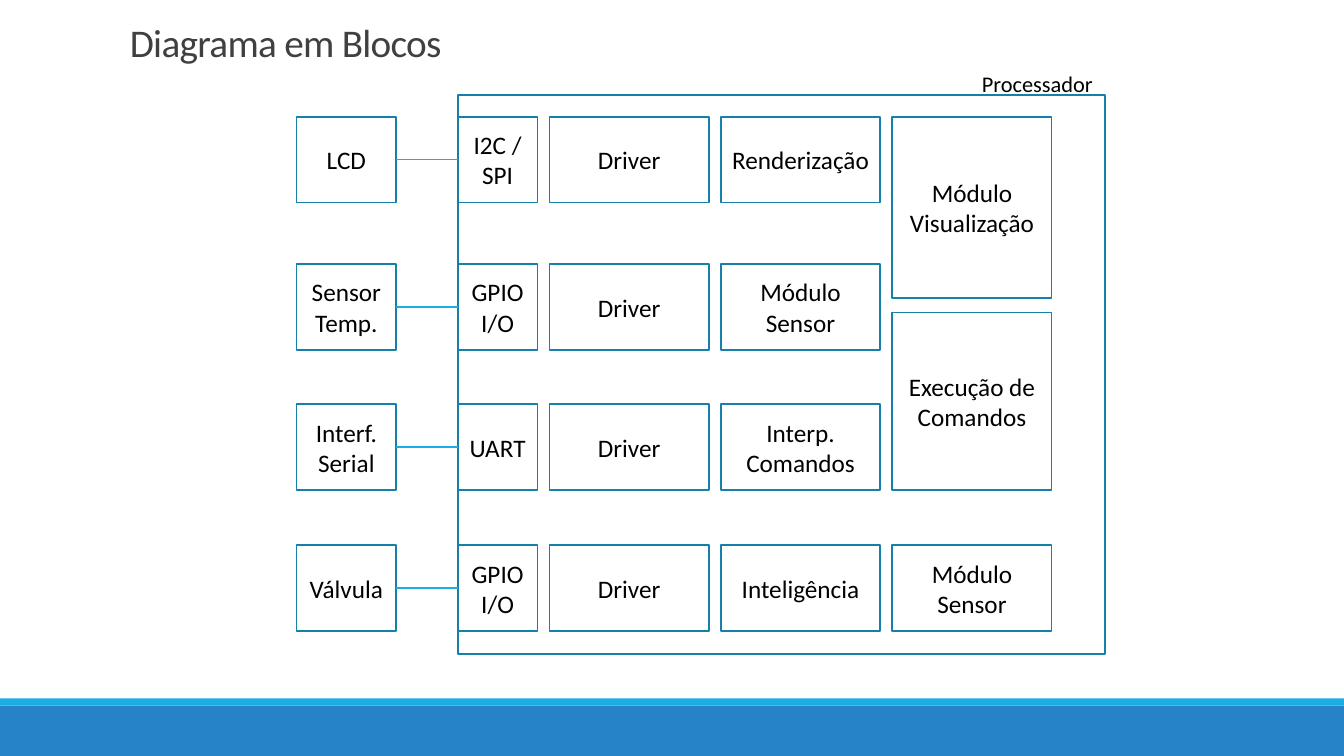
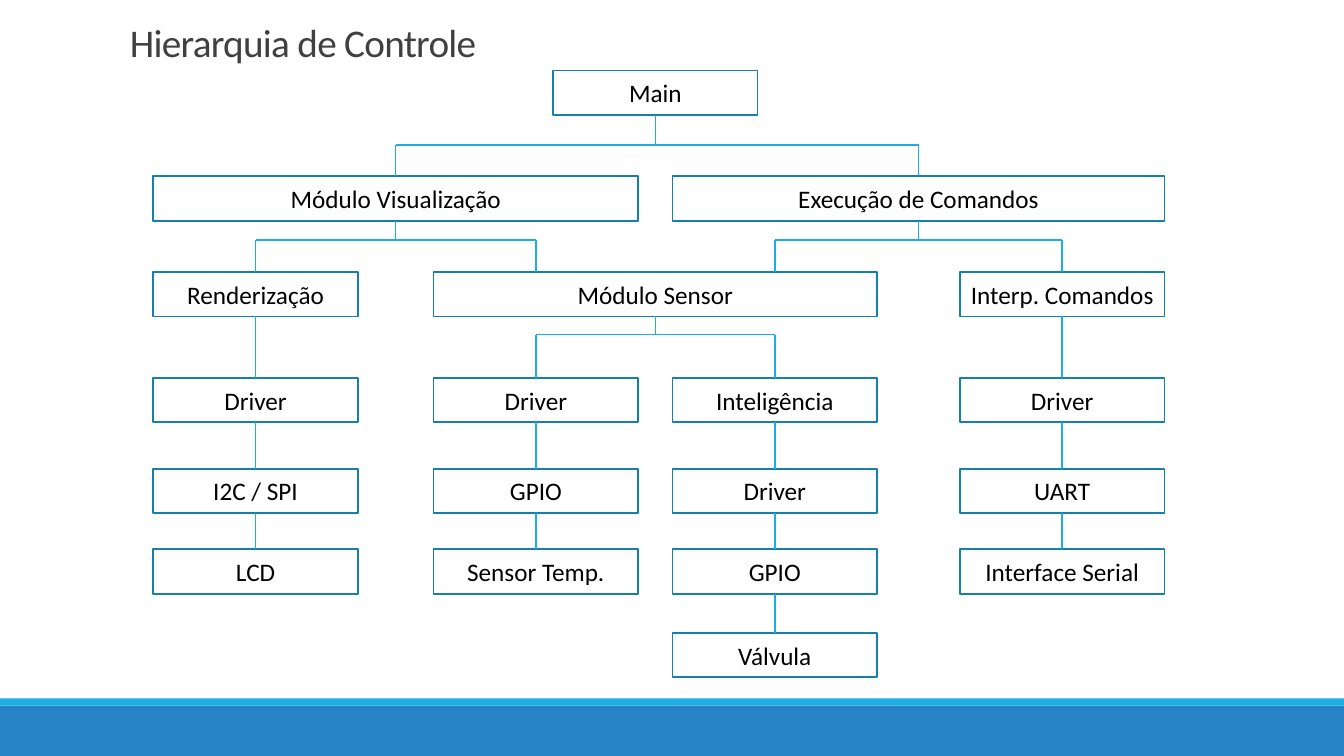
from lxml import etree
from pptx import Presentation
from pptx.dml.color import RGBColor
from pptx.enum import shapes, text
from pptx.oxml import ns
from pptx.util import Inches, Pt

COLORS = {
    "band": "2683C6", "accent": "1CADE4", "outline": "1580A9",
    "title": "404040", "text": "000000", "paper": "FFFFFF",
}
FONT = "Calibri"
TOP, LEFT, BOTTOM, RIGHT = range(4)

# Block diagram: each column is (left, width), each row is a top.
BLOCK_TITLE = "Diagrama em Blocos"
PROCESSOR = (4.54, 0.94, 6.42, 5.55)
PROCESSOR_LABEL = "Processador"
BLOCK_COLUMNS = [(2.94, 0.99), (4.54, 0.79), (5.45, 1.58), (7.15, 1.58), (8.85, 1.58)]
BLOCK_ROWS = [1.16, 2.62, 4.01, 5.41]
BLOCK_HEIGHT = 0.85
BLOCKS = [
    ["LCD", "I2C / SPI", "Driver", "Renderização"],
    ["Sensor Temp.", "GPIO I/O", "Driver", "Módulo Sensor"],
    ["Interf. Serial", "UART", "Driver", "Interp. Comandos"],
    ["Válvula", "GPIO I/O", "Driver", "Inteligência"],
]
MODULES = [  # text, top, height
    ("Módulo Visualização", 1.16, 1.8),
    ("Execução de Comandos", 3.1, 1.76),
    ("Módulo Sensor", 5.41, 0.85),
]

# Control hierarchy: each node spans its first to its last column.
TREE_TITLE = "Hierarquia de Controle"
TREE_COLUMNS = [1.52, 4.3, 6.67, 9.52]
TREE_ROWS = [0.7, 1.75, 2.7, 3.75, 4.65, 5.45, 6.28]
NODE_WIDTH, NODE_HEIGHT = 2.03, 0.44
ROOT = "Main"
SPANNING_NODES = [  # text, row, first column, last column
    ("Módulo Visualização", 1, 0, 1),
    ("Execução de Comandos", 1, 2, 3),
    ("Módulo Sensor", 2, 1, 2),
]
CHAINS = [  # column, first row, texts from top to bottom
    (0, 2, ["Renderização", "Driver", "I2C / SPI", "LCD"]),
    (1, 3, ["Driver", "GPIO", "Sensor Temp."]),
    (2, 3, ["Inteligência", "Driver", "GPIO", "Válvula"]),
    (3, 2, ["Interp. Comandos", "Driver", "UART", "Interface Serial"]),
]
FORKS = [  # parent, row of the children, height of the bar, column spans met
    (ROOT, 1, 1.44, [(0, 1), (2, 3)]),
    ("Módulo Visualização", 2, 2.38, [(0, 0), (1, 1)]),
    ("Execução de Comandos", 2, 2.38, [(2, 2), (3, 3)]),
    ("Módulo Sensor", 3, 3.32, [(1, 1), (2, 2)]),
]


def color(name):
    return RGBColor.from_string(COLORS[name])


def add_rect(slide, bounds, fill, outline=None):
    box = slide.shapes.add_shape(shapes.MSO_SHAPE.RECTANGLE, *map(Inches, bounds))
    box.shadow.inherit = False
    box.fill.solid()
    box.fill.fore_color.rgb = color(fill)
    if outline:
        box.line.color.rgb = color(outline)
        box.line.width = Pt(1.25)
    else:
        box.line.fill.background()
    return box


def write(box, words, size, ink="text", align=text.PP_ALIGN.LEFT):
    frame = box.text_frame
    frame.vertical_anchor = text.MSO_ANCHOR.MIDDLE
    para = frame.paragraphs[0]
    para.text = words
    para.alignment = align
    para.font.name = FONT
    para.font.size = Pt(size)
    para.font.color.rgb = color(ink)
    return para


def add_block(slide, bounds, words):
    box = add_rect(slide, bounds, "paper", "outline")
    box.text_frame.word_wrap = True
    write(box, words, 18, align=text.PP_ALIGN.CENTER)
    return box


def add_line(slide, start, end):
    line = slide.shapes.add_connector(
        shapes.MSO_CONNECTOR.STRAIGHT, *map(Inches, (*start, *end)))
    line.line.color.rgb = color("accent")
    line.line.width = Pt(1)
    etree.SubElement(line._element.spPr, ns.qn("a:effectLst"))
    return line


def join(slide, first, first_side, second, second_side):
    line = add_line(slide, (0, 0), (0, 0))
    line.begin_connect(first, first_side)
    line.end_connect(second, second_side)


def new_slide(deck, title):
    """Add a slide with the shared footer bands and title."""
    slide = deck.slides.add_slide(deck.slide_layouts[6])
    add_rect(slide, (0, 7, 13.33, 0.5), "band")
    add_rect(slide, (0, 6.93, 13.33, 0.07), "accent")
    box = slide.shapes.add_textbox(*map(Inches, (1.19, 0.19, 11, 0.52)))
    box.text_frame.word_wrap = True
    para = write(box, title, 28, "title")
    para.line_spacing = 0.85
    para.runs[0].font._element.set("spc", "-50")
    return slide


def build_block_diagram(deck):
    slide = new_slide(deck, BLOCK_TITLE)
    add_rect(slide, PROCESSOR, "paper", "outline")
    label = slide.shapes.add_textbox(*map(Inches, (9.64, 0.64, 1.32, 0.37)))
    label.text_frame.word_wrap = False
    write(label, PROCESSOR_LABEL, 16)

    for top, row in zip(BLOCK_ROWS, BLOCKS):
        device, port, *_ = [
            add_block(slide, (left, top, width, BLOCK_HEIGHT), words)
            for (left, width), words in zip(BLOCK_COLUMNS, row)]
        join(slide, device, RIGHT, port, LEFT)

    left, width = BLOCK_COLUMNS[-1]
    for words, top, height in MODULES:
        add_block(slide, (left, top, width, height), words)


def span_center(first, last):
    return (TREE_COLUMNS[first] + TREE_COLUMNS[last] + NODE_WIDTH) / 2


def build_hierarchy(deck):
    slide = new_slide(deck, TREE_TITLE)
    nodes = {}  # (row, center) -> box
    parents = {}

    def add_node(words, row, center, width=NODE_WIDTH):
        box = add_block(
            slide, (center - width / 2, TREE_ROWS[row], width, NODE_HEIGHT), words)
        nodes[row, center] = box
        return box

    root_center = span_center(1, 2)
    parents[ROOT] = (add_node(ROOT, 0, root_center), root_center)
    for words, row, first, last in SPANNING_NODES:
        center = span_center(first, last)
        width = TREE_COLUMNS[last] - TREE_COLUMNS[first] + NODE_WIDTH
        parents[words] = (add_node(words, row, center, width), center)

    for column, first_row, chain in CHAINS:
        boxes = [add_node(words, row, span_center(column, column))
                 for row, words in enumerate(chain, first_row)]
        for upper, lower in zip(boxes, boxes[1:]):
            join(slide, upper, BOTTOM, lower, TOP)

    for parent, child_row, bar, spans in FORKS:
        box, center = parents[parent]
        add_line(slide, (center, bar), (center, bar)).begin_connect(box, BOTTOM)
        ends = [span_center(*span) for span in spans]
        add_line(slide, (ends[0], bar), (ends[-1], bar))
        for end in ends:
            drop = add_line(slide, (end, bar), (end, TREE_ROWS[child_row]))
            if (child_row, end) in nodes:
                drop.end_connect(nodes[child_row, end], TOP)


def main():
    deck = Presentation()
    deck.slide_width, deck.slide_height = Inches(13.33), Inches(7.5)
    build_block_diagram(deck)
    build_hierarchy(deck)
    deck.save("out.pptx")


if __name__ == "__main__":
    main()
